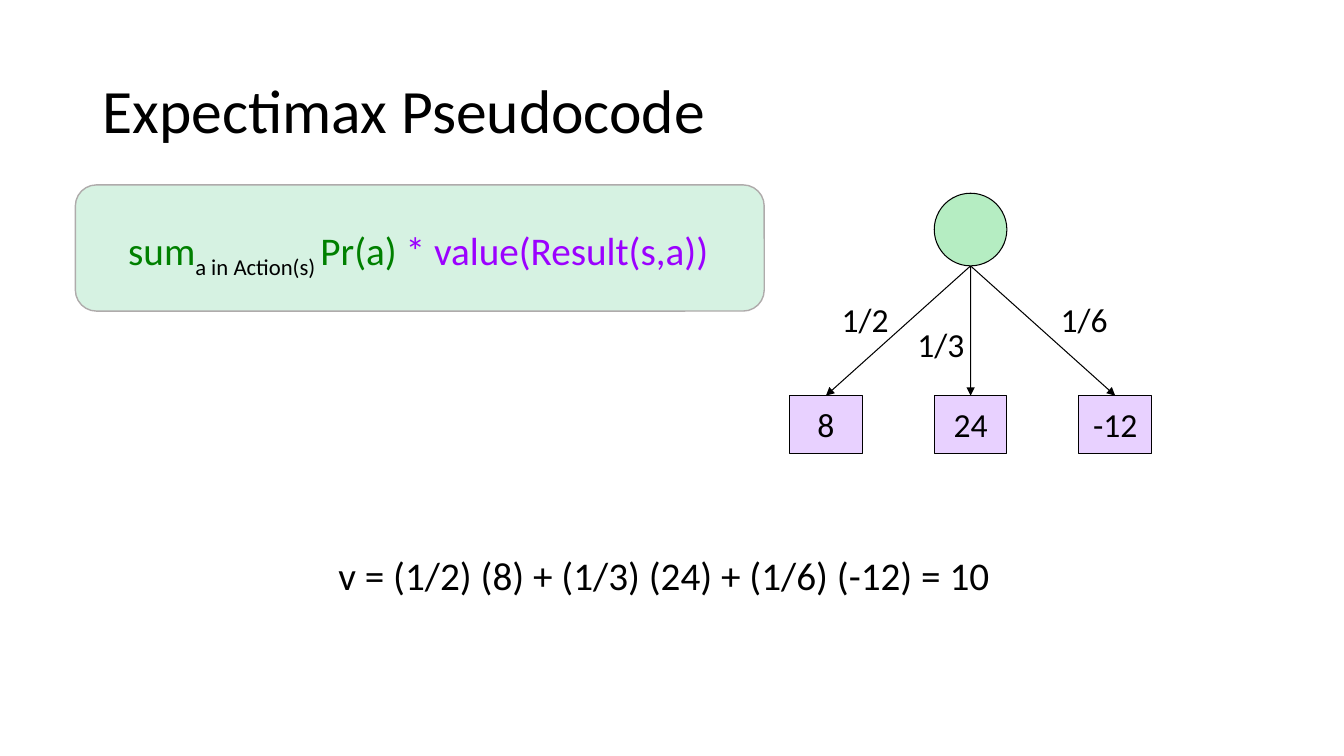
from lxml import etree
from pptx import Presentation
from pptx.dml.color import RGBColor
from pptx.enum.shapes import MSO_CONNECTOR, MSO_SHAPE
from pptx.enum.text import MSO_ANCHOR, PP_ALIGN
from pptx.oxml.ns import qn
from pptx.util import Cm, Pt

STRAIGHT = MSO_CONNECTOR.STRAIGHT
ROUNDED, OVAL, RECT = MSO_SHAPE.ROUNDED_RECTANGLE, MSO_SHAPE.OVAL, MSO_SHAPE.RECTANGLE
LEFT, CENTER = PP_ALIGN.LEFT, PP_ALIGN.CENTER
MIDDLE = MSO_ANCHOR.MIDDLE
FONT = "Calibri"
BLACK, GREEN, PURPLE = "000000", "008000", "9B01FF"
NODE = 1.83
LEAF_H = 1.45


def rgb(value):
    """Return the colour for a hex string."""
    return RGBColor.from_string(value)


def add_run(p, text, size, color=BLACK, baseline=0):
    """Append a formatted run, lowered or raised by a baseline percentage."""
    r = p.add_run()
    r.text = text
    r.font.name, r.font.size = FONT, Pt(size)
    r.font.color.rgb = rgb(color)
    if baseline:
        r._r.get_or_add_rPr().set("baseline", str(baseline * 1000))


def add_box(s, kind, x, y, w, h, fill, line=BLACK, width=0.75):
    """Draw a filled and outlined preset shape."""
    sp = s.shapes.add_shape(kind, Cm(x), Cm(y), Cm(w), Cm(h))
    sp.shadow.inherit = False
    sp.fill.solid()
    sp.fill.fore_color.rgb = rgb(fill)
    sp.line.color.rgb = rgb(line)
    sp.line.width = Pt(width)
    return sp


def add_text(s, x, y, w, h, size, *runs, align=LEFT):
    """Add a wrapped text box of runs and return its paragraph."""
    tf = s.shapes.add_textbox(Cm(x), Cm(y), Cm(w), Cm(h)).text_frame
    tf.word_wrap = True
    p = tf.paragraphs[0]
    p.alignment = align
    for run in runs:
        add_run(p, run[0], size, *run[1:])
    return p


def add_title(s, x, y, w, h, text):
    """Place and fill the title placeholder."""
    sp = s.shapes.title
    sp.left, sp.top, sp.width, sp.height = Cm(x), Cm(y), Cm(w), Cm(h)
    tf = sp.text_frame
    tf.vertical_anchor = MIDDLE
    p = tf.paragraphs[0]
    p.alignment = LEFT
    p.line_spacing = 0.9
    add_run(p, text, 44)


def add_formula(s, x, y, w, h):
    """Draw the tinted panel with the expectation formula."""
    panel = add_box(s, ROUNDED, x, y, w, h, "00B050", "AFABAB", 1)
    color = panel._element.spPr.find(qn("a:solidFill"))[0]
    etree.SubElement(color, qn("a:alpha")).set("val", "16000")
    p = add_text(s, x + 1.08, y + 1.05, w - 1.08, h - 1.05, 28,
                 ("sum", GREEN), ("a in Action(s) ", BLACK, -25),
                 ("Pr(a) ", GREEN), ("* value(Result(s,a))", PURPLE))
    p.line_spacing = 0.8


def add_arrow(s, x, y, leaf):
    """Draw an arrow from a point to the top of a leaf."""
    c = s.shapes.add_connector(STRAIGHT, Cm(x), Cm(y), leaf.left, leaf.top)
    c.end_connect(leaf, 0)
    c.line.color.rgb = rgb(BLACK)
    c.line.width = Pt(0.75)
    etree.SubElement(c.line._get_or_add_ln(), qn("a:tailEnd")).set("type", "triangle")
    etree.SubElement(c._element.spPr, qn("a:effectLst"))


def add_tree(s, x, y, w, h, branches):
    """Draw a chance node over evenly spaced leaves with labelled arrows."""
    step = (w - NODE) / (len(branches) - 1)
    for i, (value, chance, dx, dy) in enumerate(branches):
        leaf = add_box(s, RECT, x + i * step, y + h - LEAF_H, NODE, LEAF_H, "E8D1FF")
        tf = leaf.text_frame
        tf.word_wrap = False
        tf.vertical_anchor = MIDDLE
        tf.paragraphs[0].alignment = CENTER
        add_run(tf.paragraphs[0], value, 24)
        add_arrow(s, x + w / 2, y + NODE, leaf)
        add_text(s, x + dx, y + dy, 2.33, 1.27, 24, (chance,))
    add_box(s, OVAL, x + (w - NODE) / 2, y, NODE, NODE, "B5EDC2")


def main():
    """Build and save the slide."""
    prs = Presentation()
    prs.slide_width, prs.slide_height = Cm(33.87), Cm(19.05)
    s = prs.slides.add_slide(prs.slide_layouts[5])
    add_title(s, 2.33, 1.01, 29.21, 3.68, "Expectimax Pseudocode")
    add_formula(s, 1.9, 4.66, 17.36, 3.18)
    add_tree(s, 19.9, 4.87, 9.12, 6.55, [
        ("8", "1/2", 1.06, 2.54),
        ("24", "1/3", 2.97, 3.18),
        ("-12", "1/6", 6.58, 2.54),
    ])
    add_text(s, 5.93, 13.76, 21.59, 1.45, 28,
             ("v = (1/2) (8) + (1/3) (24) + (1/6) (-12) = 10",), align=CENTER)
    prs.save("out.pptx")


if __name__ == "__main__":
    main()
